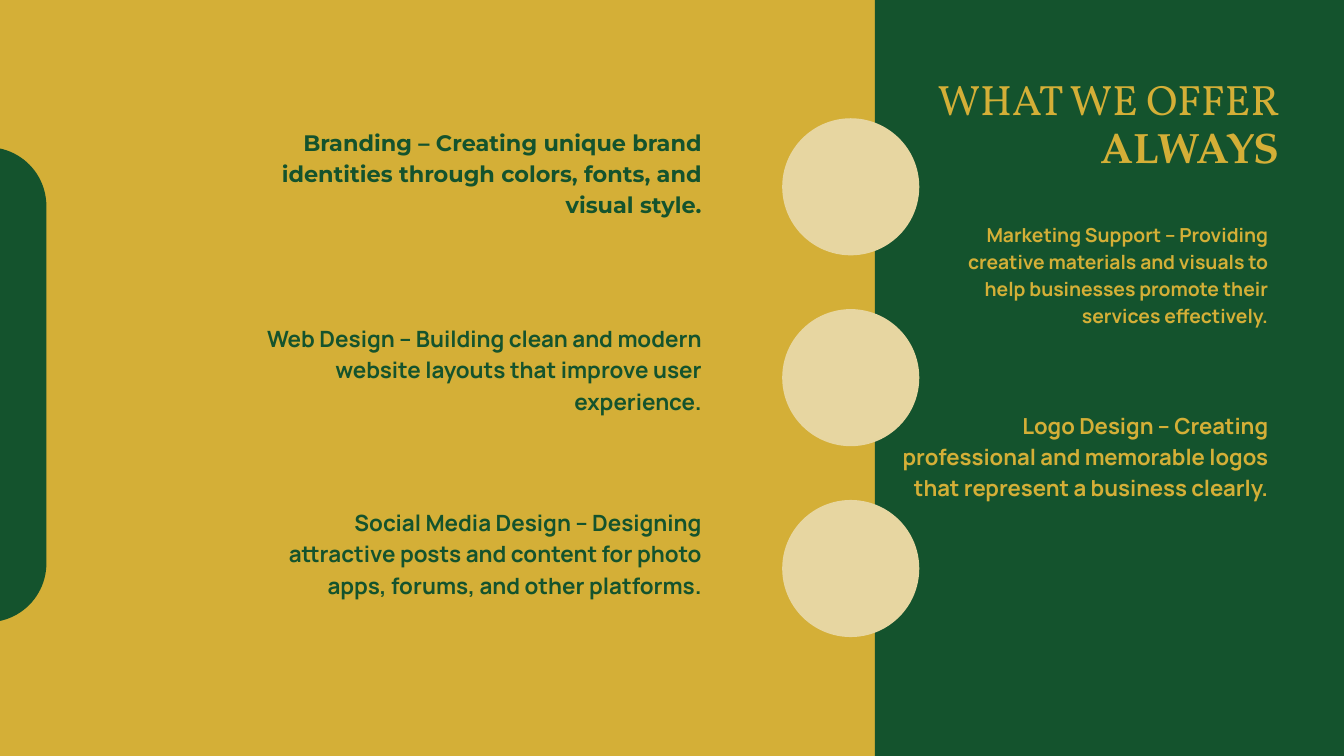
import pptx
import pptx.util
import pptx.dml.color
import pptx.enum.shapes
import pptx.enum.text

Inches = pptx.util.Inches
Pt = pptx.util.Pt
MSO_SHAPE = pptx.enum.shapes.MSO_SHAPE

GOLD = "D4AF37"
GREEN = "14532D"
CREAM = "E7D6A1"


def rgb(value):
    """Turn a hex string into a colour."""
    return pptx.dml.color.RGBColor.from_string(value)


def add_panel(s, kind, left, top, width, height, color):
    """Add a filled shape without line or shadow."""
    sp = s.shapes.add_shape(kind, Inches(left), Inches(top), Inches(width), Inches(height))
    sp.shadow.inherit = False
    sp.fill.solid()
    sp.fill.fore_color.rgb = rgb(color)
    sp.line.fill.background()
    return sp


def add_textbox(s, left, top, width, height):
    """Add an empty wrapping text box without margins and return its frame."""
    tf = s.shapes.add_textbox(Inches(left), Inches(top), Inches(width), Inches(height)).text_frame
    tf.word_wrap = True
    tf.margin_left = tf.margin_top = tf.margin_right = tf.margin_bottom = 0
    return tf


def write(p, text, size=24, font="Manrope", color=GREEN, bold=True, spacing=33.6):
    """Write right-aligned formatted text into a paragraph."""
    p.alignment = pptx.enum.text.PP_ALIGN.RIGHT
    p.line_spacing = Pt(spacing)
    r = p.add_run()
    r.text = text
    r.font.size = Pt(size)
    r.font.name = font
    r.font.bold = bold
    r.font.color.rgb = rgb(color)


def add_title(s):
    """Add the two-line heading."""
    tf = add_textbox(s, 13.02, 1.14, 6.02, 1.4)
    write(tf.paragraphs[0], "WHAT WE OFFER", size=45.5, font="Vollkorn",
          color=GOLD, bold=False, spacing=51)
    write(tf.add_paragraph(), "ALWAYS", size=45.5, font="TeX Gyre Pagella",
          color=GOLD, spacing=51)


def add_services(s):
    """Add the service descriptions on both sides."""
    services = [
        ((14.22, 3.26, 4.65, 1.59),
         "Marketing Support – Providing creative materials and visuals to help "
         "businesses promote their services effectively.",
         dict(size=20.7, color=GOLD, spacing=29)),
        ((13.39, 6.07, 5.48, 1.83),
         "Logo Design – Creating professional and memorable logos that represent "
         "a business clearly.",
         dict(size=23.7, color=GOLD, spacing=33.2)),
        ((3.93, 1.85, 6.51, 1.35),
         "Branding – Creating unique brand identities through colors, fonts, and "
         "visual style.",
         dict(font="Montserrat")),
        ((3.93, 4.77, 6.51, 1.38),
         "Web Design – Building clean and modern website layouts that improve user "
         "experience.",
         {}),
        ((3.93, 7.51, 6.51, 1.84),
         "Social Media Design – Designing attractive posts and content for "
         "photo apps, forums, and other platforms.",
         {}),
    ]
    for box, text, style in services:
        write(add_textbox(s, *box).paragraphs[0], text, **style)


def main():
    """Build the slide and save it."""
    prs = pptx.Presentation()
    prs.slide_width = Inches(20)
    prs.slide_height = Inches(11.25)
    s = prs.slides.add_slide(prs.slide_layouts[6])
    s.background.fill.solid()
    s.background.fill.fore_color.rgb = rgb(GOLD)

    add_panel(s, MSO_SHAPE.RECTANGLE, 13.02, 0, 6.98, 11.25, GREEN)
    for i in range(3):
        add_panel(s, MSO_SHAPE.OVAL, 11.64, 1.76 + i * 2.84, 2.04, 2.04, CREAM)
    tab = add_panel(s, MSO_SHAPE.ROUNDED_RECTANGLE, -1.06, 2.19, 1.75, 7.07, GREEN)
    tab.adjustments[0] = 0.5
    add_title(s)
    add_services(s)
    prs.save("out.pptx")


if __name__ == "__main__":
    main()
